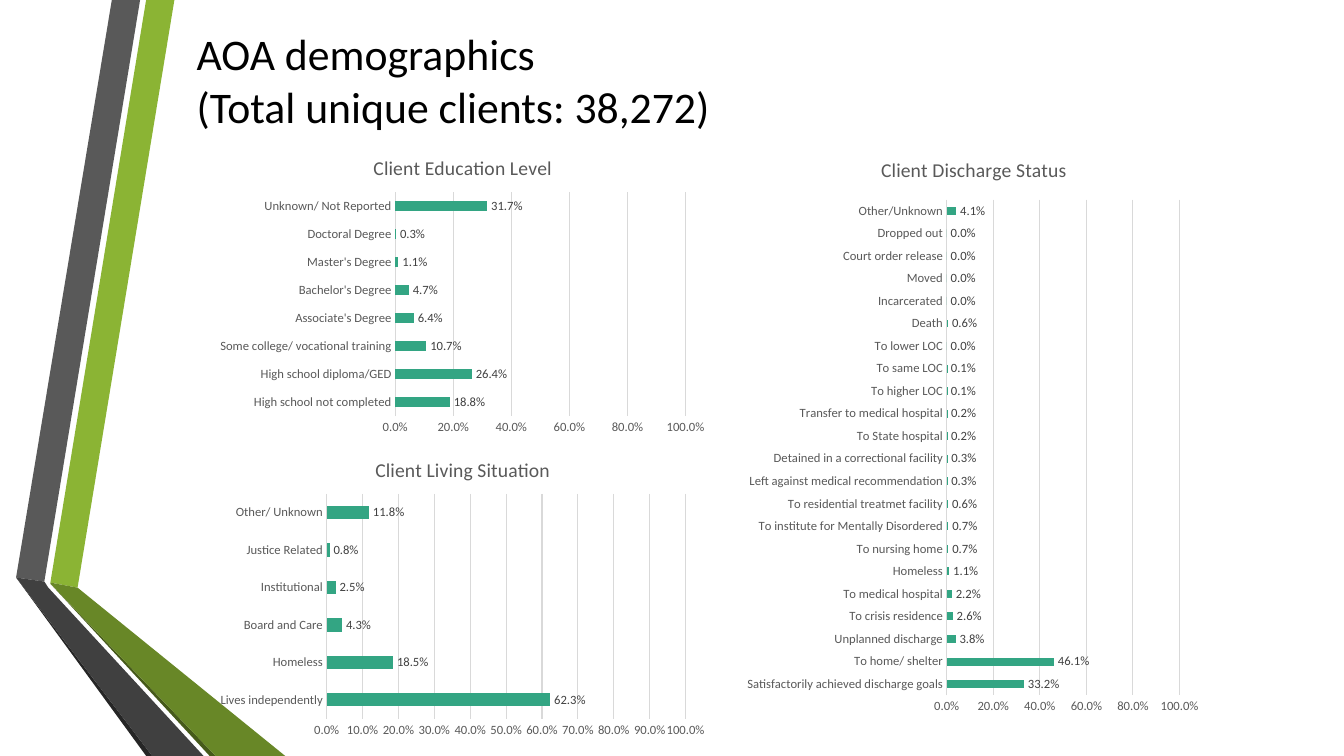
from lxml.etree import SubElement
from pptx import Presentation
from pptx.chart.data import CategoryChartData
from pptx.dml.color import RGBColor
from pptx.enum.chart import XL_CHART_TYPE, XL_LABEL_POSITION, XL_TICK_MARK
from pptx.enum.text import MSO_ANCHOR, MSO_AUTO_SIZE, PP_ALIGN
from pptx.oxml.ns import qn
from pptx.util import Pt

PX = 9144
FONT = "Calibri"
BLACK = RGBColor(0x00, 0x00, 0x00)
LABEL_GRAY = RGBColor(0x40, 0x40, 0x40)
AXIS_GRAY = RGBColor(0x59, 0x59, 0x59)
GRID_GRAY = RGBColor(0xD9, 0xD9, 0xD9)
BAR_GREEN = RGBColor(0x33, 0xA5, 0x83)

RIBBONS = [
    (RGBColor(0x8B, 0xB4, 0x34), [(50, 578), (77, 583), (173, 0), (145, 0)]),
    (RGBColor(0x59, 0x59, 0x59), [(139, 0), (111, 0), (16, 573), (44, 577)]),
    (RGBColor(0x26, 0x26, 0x26), [(16, 573), (145, 750), (151, 750)]),
    (RGBColor(0x46, 0x5A, 0x1A), [(50, 579), (208, 750), (214, 750)]),
    (RGBColor(0x68, 0x87, 0x27), [(50, 579), (214, 750), (283, 750), (77, 583), (50, 578)]),
    (RGBColor(0x40, 0x40, 0x40), [(202, 750), (48, 583), (44, 577), (16, 573), (151, 750)]),
]

EDUCATION = {
    "High school not completed": 0.188,
    "High school diploma/GED": 0.264,
    "Some college/ vocational training": 0.107,
    "Associate's Degree": 0.064,
    "Bachelor's Degree": 0.047,
    "Master's Degree": 0.011,
    "Doctoral Degree": 0.003,
    "Unknown/ Not Reported": 0.317,
}
LIVING = {
    "Lives independently": 0.623,
    "Homeless": 0.185,
    "Board and Care": 0.043,
    "Institutional": 0.025,
    "Justice Related": 0.008,
    "Other/ Unknown": 0.118,
}
DISCHARGE = {
    "Satisfactorily achieved discharge goals": 0.332,
    "To home/ shelter": 0.461,
    "Unplanned discharge": 0.038,
    "To crisis residence": 0.026,
    "To medical hospital": 0.022,
    "Homeless": 0.011,
    "To nursing home": 0.007,
    "To institute for Mentally Disordered": 0.007,
    "To residential treatmet facility": 0.006,
    "Left against medical recommendation": 0.003,
    "Detained in a correctional facility": 0.003,
    "To State hospital": 0.002,
    "Transfer to medical hospital": 0.002,
    "To higher LOC": 0.001,
    "To same LOC": 0.001,
    "To lower LOC": 0,
    "Death": 0.006,
    "Incarcerated": 0,
    "Moved": 0,
    "Court order release": 0,
    "Dropped out": 0,
    "Other/Unknown": 0.041,
}


def emu(*lengths):
    return [length * PX for length in lengths]


def style_font(font, size, color):
    font.name = FONT
    font.size = Pt(size)
    font.bold = False
    font.color.rgb = color


def draw_ribbons(slide, left, top):
    for color, corners in RIBBONS:
        outline = slide.shapes.build_freeform(*corners[0], scale=PX)
        outline.add_line_segments(corners[1:], close=True)
        ribbon = outline.convert_to_shape(*emu(left, top))
        ribbon.shadow.inherit = False
        ribbon.fill.solid()
        ribbon.fill.fore_color.rgb = color
        ribbon.line.fill.background()


def place_title(slide, box, wording):
    title = slide.shapes.title
    title.left, title.top, title.width, title.height = emu(*box)
    frame = title.text_frame
    frame.text = wording
    frame.word_wrap = True
    frame.auto_size = MSO_AUTO_SIZE.NONE
    frame.vertical_anchor = MSO_ANCHOR.MIDDLE
    heading = frame.paragraphs[0]
    heading.alignment = PP_ALIGN.LEFT
    for run in heading.runs:
        style_font(run.font, 31.2, BLACK)


def fix_plot_area(chart, box, plot):
    plot_area = chart._chartSpace.chart.plotArea
    for old in plot_area.findall(qn("c:layout")):
        plot_area.remove(old)
    layout = SubElement(plot_area, qn("c:layout"))
    plot_area.insert(0, layout)
    manual = SubElement(layout, qn("c:manualLayout"))
    width, height = box[2:]
    settings = [("layoutTarget", "inner"), ("xMode", "edge"), ("yMode", "edge")]
    shares = zip("xywh", plot, (width, height, width, height))
    settings += [(side, f"{length / whole:.4f}") for side, length, whole in shares]
    for tag, value in settings:
        SubElement(manual, qn(f"c:{tag}")).set("val", value)


def add_share_chart(slide, box, plot, heading, shares, step):
    data = CategoryChartData(number_format="0.0%")
    data.categories = list(shares)
    data.add_series("Series 1", list(shares.values()))
    frame = slide.shapes.add_chart(XL_CHART_TYPE.BAR_CLUSTERED, *emu(*box), data)
    chart = frame.chart
    style_font(chart.font, 10, BLACK)
    chart.has_legend = False
    chart.has_title = True
    chart.chart_title.include_in_layout = False
    chart.chart_title.text_frame.text = heading
    style_font(chart.chart_title.text_frame.paragraphs[0].runs[0].font, 14, AXIS_GRAY)

    for axis in (chart.category_axis, chart.value_axis):
        axis.major_tick_mark = axis.minor_tick_mark = XL_TICK_MARK.NONE
        style_font(axis.tick_labels.font, 9, AXIS_GRAY)
    names, percents = chart.category_axis, chart.value_axis
    names.has_major_gridlines = False
    percents.has_major_gridlines = True
    percents.format.line.fill.background()
    for line in (names.format.line, percents.major_gridlines.format.line):
        line.color.rgb = GRID_GRAY
        line.width = Pt(0.75)
    percents.minimum_scale, percents.maximum_scale = 0, 1
    percents.major_unit = step
    percents.tick_labels.number_format = "0.0%"
    percents.tick_labels.number_format_is_linked = False

    bars = chart.plots[0]
    bars.gap_width = 182
    bars.vary_by_categories = False
    bars.series[0].format.fill.solid()
    bars.series[0].format.fill.fore_color.rgb = BAR_GREEN
    bars.has_data_labels = True
    labels = bars.data_labels
    labels.show_value = True
    labels.position = XL_LABEL_POSITION.OUTSIDE_END
    labels.number_format = "0.0%"
    labels.number_format_is_linked = False
    style_font(labels.font, 9, LABEL_GRAY)
    fix_plot_area(chart, box, plot)


def main():
    deck = Presentation()
    deck.slide_width, deck.slide_height = emu(1333, 750)
    slide = deck.slides.add_slide(deck.slide_layouts.get_by_name("Title Only"))
    draw_ribbons(slide, 0, 0)
    place_title(slide, (185, 23, 1096, 112),
                "AOA demographics\v(Total unique clients: 38,272)")
    add_share_chart(slide, (209, 138, 500, 300), (183, 53, 288, 222),
                    "Client Education Level", EDUCATION, 0.2)
    add_share_chart(slide, (209, 438, 500, 300), (115, 52, 356, 223),
                    "Client Living Situation", LIVING, 0.1)
    add_share_chart(slide, (733, 134, 466, 586), (206, 64, 231, 492),
                    "Client Discharge Status", DISCHARGE, 0.2)
    deck.save("out.pptx")


if __name__ == "__main__":
    main()
